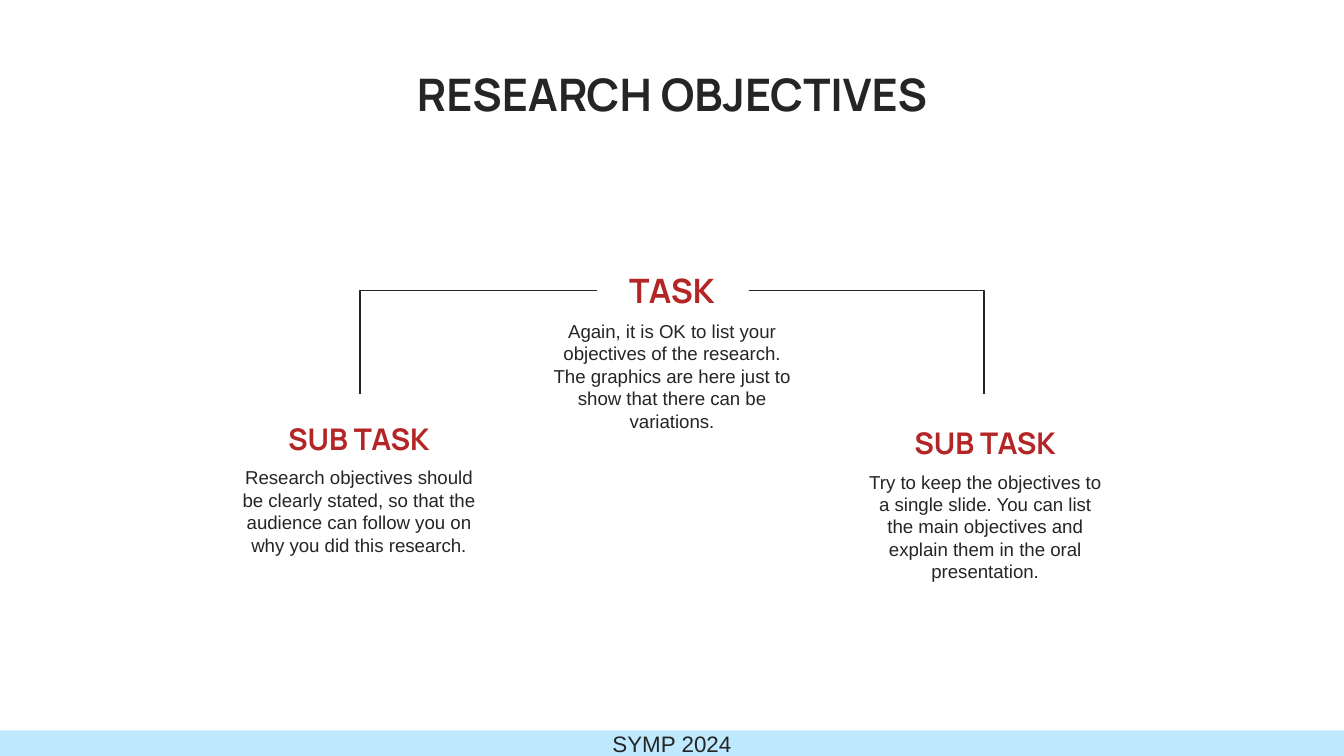
from pptx import Presentation
from pptx.dml.color import RGBColor
from pptx.enum.shapes import MSO_SHAPE
from pptx.enum.text import MSO_ANCHOR, PP_ALIGN
from pptx.util import Inches, Pt

RECTANGLE = MSO_SHAPE.RECTANGLE
TOP, MIDDLE, BOTTOM = MSO_ANCHOR.TOP, MSO_ANCHOR.MIDDLE, MSO_ANCHOR.BOTTOM
CENTER = PP_ALIGN.CENTER
INK = RGBColor(0x25, 0x25, 0x25)
RED = RGBColor(0xB4, 0x25, 0x26)
SKY = RGBColor(0xBE, 0xE9, 0xFE)

WIDTH = 10
HEIGHT = WIDTH * 9 / 16
MIDLINE = WIDTH / 2
COLUMN_STEP = 2.33
HEADING_WIDTH, HEADING_HEIGHT = 2.86, 0.42
BODY_WIDTH, BODY_HEIGHT = 1.97, 0.89
BODY_DROP = 0.29
FOOTER_HEIGHT = 0.19

deck = Presentation()
deck.slide_width, deck.slide_height = Inches(WIDTH), Inches(HEIGHT)
page = deck.slides.add_slide(deck.slide_layouts[6])


def write(box, text, size, font="Arial", color=INK, bold=False, anchor=TOP, inset=0.1, spacing=None):
    frame = box.text_frame
    frame.word_wrap = True
    frame.vertical_anchor = anchor
    frame.margin_left = frame.margin_right = Inches(inset)
    frame.margin_top = frame.margin_bottom = Inches(inset)
    para = frame.paragraphs[0]
    para.alignment = CENTER
    para.line_spacing = spacing
    span = para.add_run()
    span.text = text
    span.font.name = font
    span.font.size = Pt(size)
    span.font.bold = bold
    span.font.color.rgb = color


def centered_box(center, top, width, height):
    return page.shapes.add_textbox(
        Inches(center - width / 2), Inches(top), Inches(width), Inches(height))


footer = page.shapes.add_shape(
    RECTANGLE, 0, Inches(HEIGHT - FOOTER_HEIGHT), Inches(WIDTH), Inches(FOOTER_HEIGHT))
footer.shadow.inherit = False
footer.fill.solid()
footer.fill.fore_color.rgb = SKY
footer.line.fill.background()
write(footer, "SYMP 2024", 12, anchor=MIDDLE, inset=0)

title = centered_box(MIDLINE, 0.3, 5.23, 0.7)
write(title, "RESEARCH OBJECTIVES", 24, font="Manrope", bold=True, anchor=BOTTOM)

tasks = [
    (0, 1.99, "TASK", 18,
     "Again, it is OK to list your objectives of the research. "
     "The graphics are here just to show that there can be variations."),
    (-1, 3.08, "SUB TASK", 16,
     "Research objectives should be clearly stated, so that the audience "
     "can follow you on why you did this research."),
    (1, 3.11, "SUB TASK", 16,
     "Try to keep the objectives to a single slide. You can list the main "
     "objectives and explain them in the oral presentation."),
]
for column, top, heading, size, detail in tasks:
    center = MIDLINE + column * COLUMN_STEP
    body_box = centered_box(center, top + BODY_DROP, BODY_WIDTH, BODY_HEIGHT)
    write(body_box, detail, 10, spacing=Pt(12))
    heading_box = centered_box(center, top, HEADING_WIDTH, HEADING_HEIGHT)
    write(heading_box, heading, size, font="Manrope", color=RED, bold=True, anchor=BOTTOM)

BRANCH_TOP, BRANCH_BOTTOM = 2.16, 2.93
for inner, outer in [(4.44, 2.68), (5.57, 7.32)]:
    builder = page.shapes.build_freeform(Inches(inner), Inches(BRANCH_TOP))
    builder.add_line_segments(
        [(Inches(outer), Inches(BRANCH_TOP)), (Inches(outer), Inches(BRANCH_BOTTOM))], close=False)
    branch = builder.convert_to_shape()
    branch.shadow.inherit = False
    branch.fill.background()
    branch.line.color.rgb = INK
    branch.line.width = Pt(0.75)

deck.save("out.pptx")
